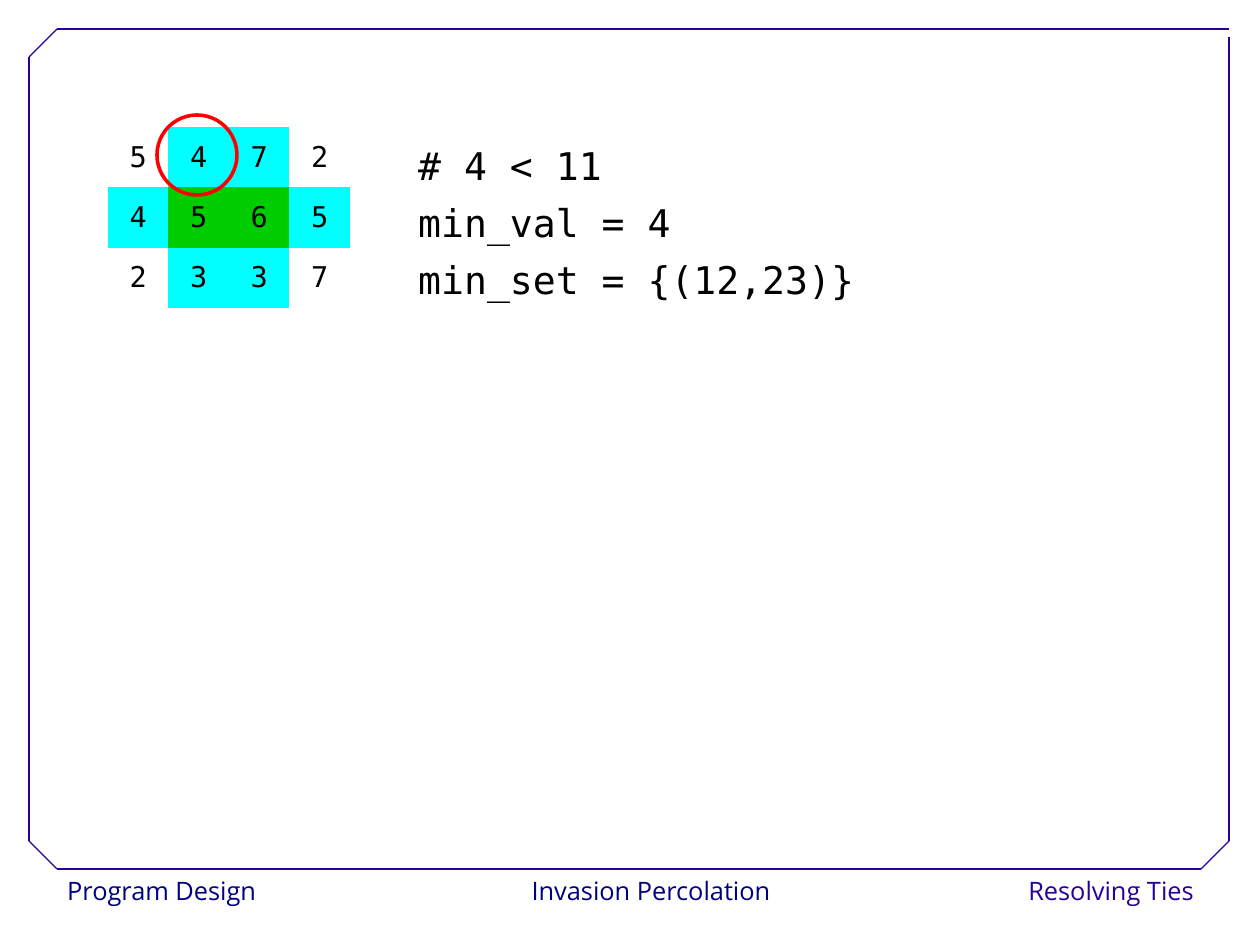
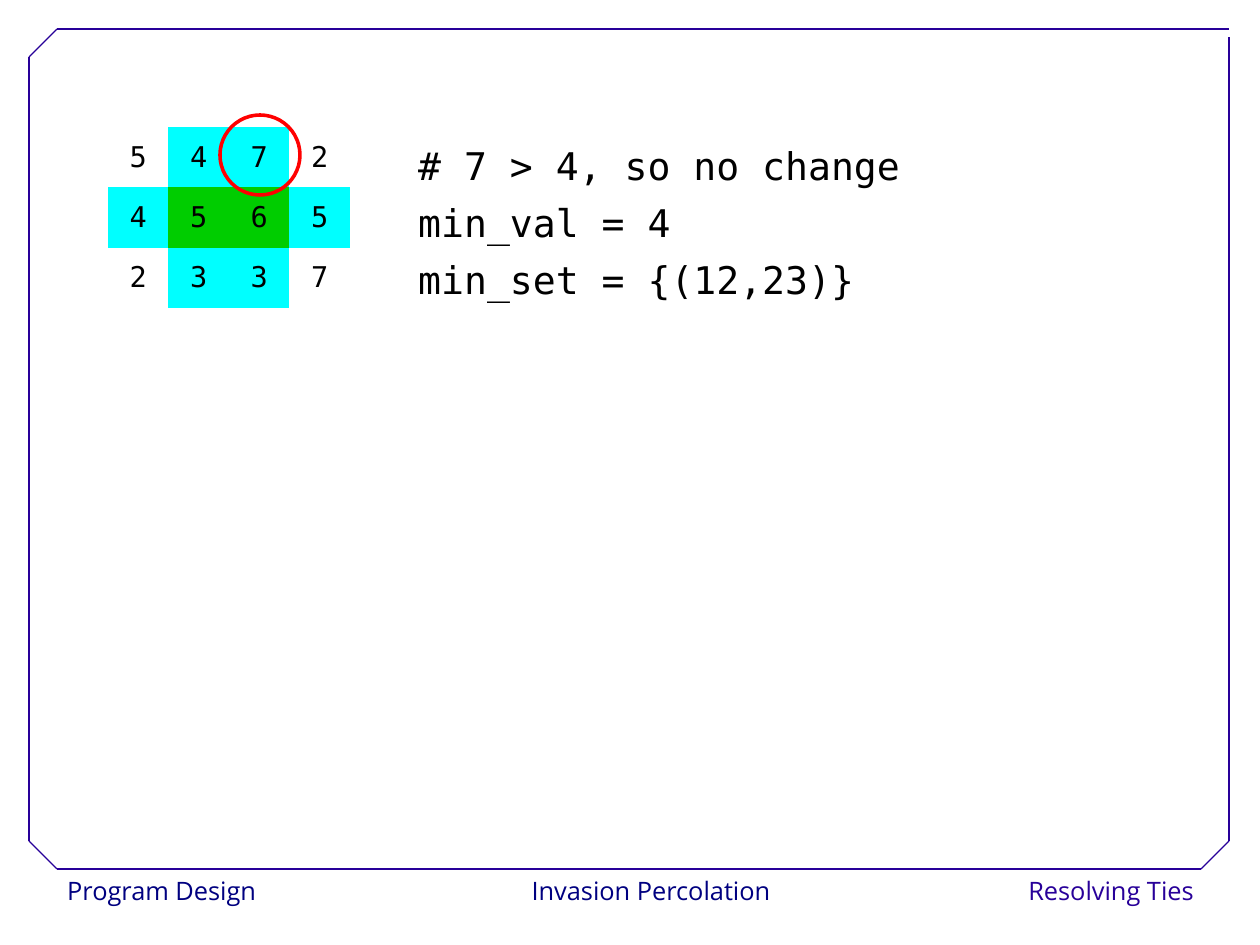
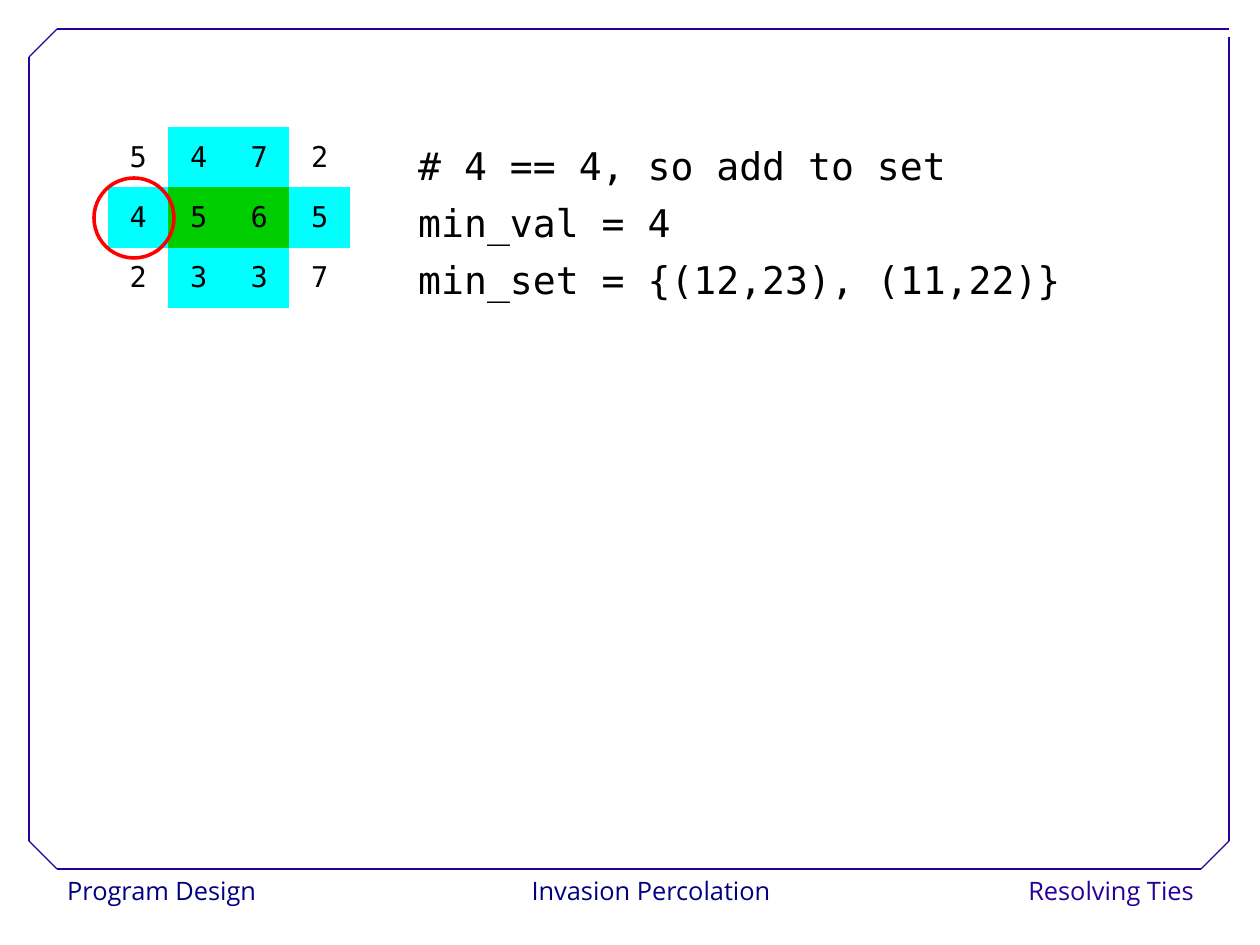
from lxml.etree import SubElement
from pptx import Presentation
from pptx.dml.color import RGBColor
from pptx.enum.shapes import MSO_CONNECTOR, MSO_SHAPE
from pptx.enum.text import MSO_ANCHOR, PP_ALIGN
from pptx.oxml.ns import qn
from pptx.util import Pt

# Content
STEPS = [
    {"ring": (0, 1), "code": ["# 4 < 11", "min_val = 4", "min_set = {(12,23)}"]},
    {"ring": (0, 2), "code": ["# 7 > 4, so no change", "min_val = 4",
                              "min_set = {(12,23)}"]},
    {"ring": (1, 0), "code": ["# 4 == 4, so add to set", "min_val = 4",
                              "min_set = {(12,23), (11,22)}"]},
]
GRID = ["5472", "4565", "2337"]
MARKS = [".cc.", "cggc", ".cc."]
TINTS = {"c": "00FFFF", "g": "00CD00"}

# Shared look
NAVY, INDIGO, RED, BLACK, WHITE = "000080", "280099", "FF0000", "000000", "FFFFFF"
SANS, MONO = "Open Sans", "DejaVu Sans Mono"
FOOTERS = [
    ("Program Design", 56, 220, PP_ALIGN.LEFT, NAVY),
    ("Invasion Percolation", 501, 300, PP_ALIGN.CENTER, NAVY),
    ("Resolving Ties", 985, 220, PP_ALIGN.RIGHT, INDIGO),
]
LEFT, RIGHT, TOP, BASE, CUT = 29, 1229, 29, 869, 28
FRAME = [
    (LEFT + CUT, BASE, RIGHT - CUT, BASE),
    (LEFT, BASE - CUT, LEFT, TOP + CUT),
    (LEFT + CUT, TOP, RIGHT, TOP),
    (RIGHT, BASE - CUT, RIGHT, TOP + 8),
    (LEFT, TOP + CUT, LEFT + CUT, TOP),
    (RIGHT - CUT, BASE, RIGHT, BASE - CUT),
    (LEFT, BASE - CUT, LEFT + CUT, BASE),
]
NO_STYLE = "{2D5ABB26-0587-4C30-8999-92F81FD0307C}"


def px(*sizes):
    return [size * 8000 for size in sizes]


def tint(color, code):
    color.rgb = RGBColor.from_string(code)


def write(frame, lines, face, size, code, **style):
    """Fill a text frame, giving each paragraph the same format."""
    frame.word_wrap = True
    frame.text = "\n".join(lines)
    for para in frame.paragraphs:
        for name, value in style.items():
            setattr(para, name, value)
        for run in para.runs:
            for name, value in {"name": face, "size": Pt(size)}.items():
                setattr(run.font, name, value)
            tint(run.font.color, code)


def add_frame(slide):
    """Draw the shared footers and border; return their shapes."""
    parts = []
    for text, left, width, align, code in FOOTERS:
        box = slide.shapes.add_textbox(*px(left, BASE, width, 46))
        box.fill.solid()
        tint(box.fill.fore_color, WHITE)
        write(box.text_frame, [text], SANS, 16, code,
              alignment=align, line_spacing=1.02)
        parts.append(box)
    for ends in FRAME:
        line = slide.shapes.add_connector(MSO_CONNECTOR.STRAIGHT, *px(*ends))
        line.line.width = Pt(0.75)
        tint(line.line.color, INDIGO)
        SubElement(line.element.spPr, qn("a:effectLst"))
        parts.append(line)
    return parts


def share(layout, parts):
    """Move shapes from a slide to its layout, so every slide shows them."""
    for holder in list(layout.placeholders):
        layout.shapes.element.remove(holder.element)
    for part in parts:
        layout.shapes.element.append(part.element)


def add_grid(slide):
    shape = slide.shapes.add_table(len(GRID), len(GRID[0]), *px(108, 127, 242, 181))
    for style in shape.element.iter(qn("a:tableStyleId")):
        style.text = NO_STYLE
    table = shape.table
    table.first_row = table.horz_banding = False
    for row, (digits, marks) in enumerate(zip(GRID, MARKS)):
        for col, (digit, mark) in enumerate(zip(digits, marks)):
            cell = table.cell(row, col)
            cell.vertical_anchor = MSO_ANCHOR.MIDDLE
            write(cell.text_frame, [digit], MONO, 18, BLACK,
                  alignment=PP_ALIGN.CENTER, line_spacing=1.02)
            if mark in TINTS:
                cell.fill.solid()
                tint(cell.fill.fore_color, TINTS[mark])
            else:
                cell.fill.background()


def add_ring(slide, row, col):
    ring = slide.shapes.add_shape(
        MSO_SHAPE.OVAL, *px(94 + 63 * col, 115 + 63 * row, 80, 80))
    ring.shadow.inherit = False
    ring.fill.background()
    ring.line.width = Pt(2.25)
    tint(ring.line.color, RED)


def add_code(slide, lines):
    box = slide.shapes.add_textbox(*px(407, 125, 742, 187))
    write(box.text_frame, lines, MONO, 24, BLACK, line_spacing=1.25)


def main():
    deck = Presentation()
    deck.slide_width, deck.slide_height = px(1260, 945)
    blank = deck.slide_layouts[6]
    for index, step in enumerate(STEPS):
        slide = deck.slides.add_slide(blank)
        if index == 0:
            share(blank, add_frame(slide))
        add_grid(slide)
        add_ring(slide, *step["ring"])
        add_code(slide, step["code"])
    deck.save("out.pptx")


if __name__ == "__main__":
    main()
